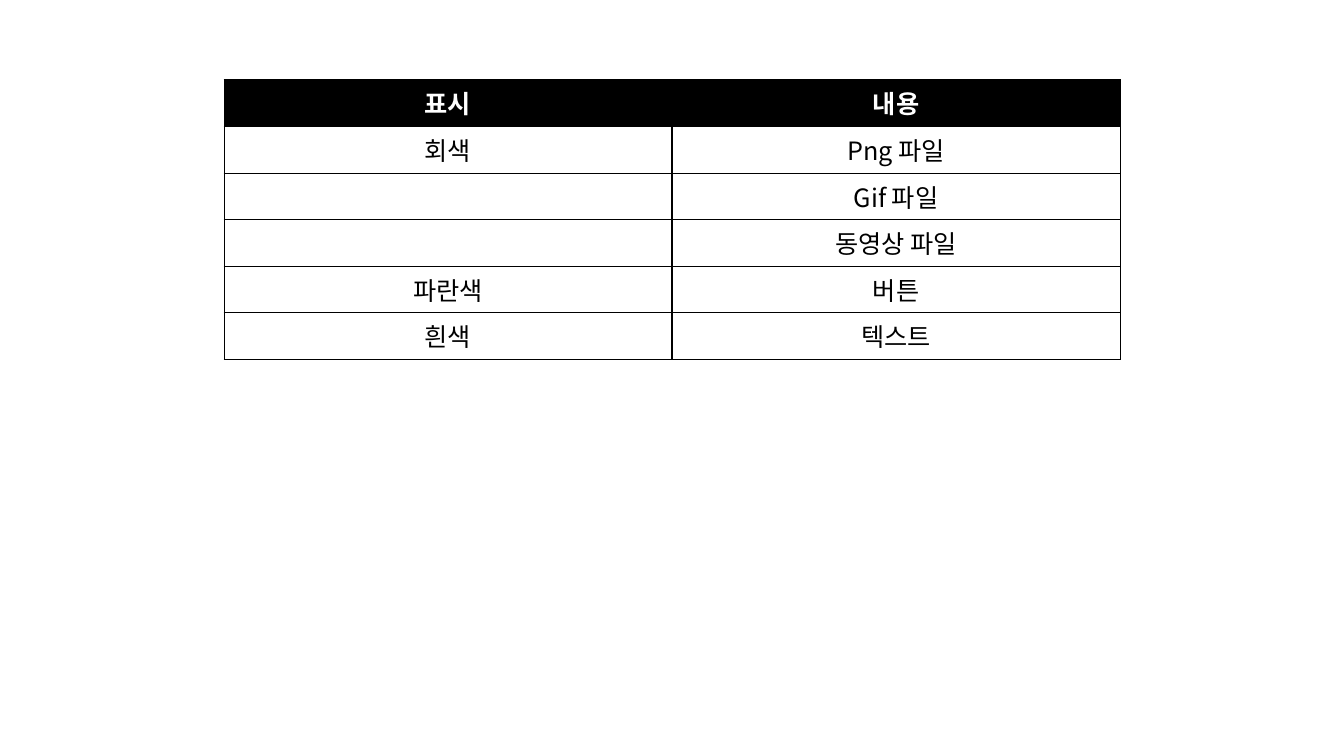
from dataclasses import dataclass

from lxml.etree import SubElement
from pptx import Presentation
from pptx.dml.color import RGBColor
from pptx.enum.text import MSO_ANCHOR, PP_ALIGN
from pptx.oxml.ns import qn
from pptx.util import Inches, Pt


@dataclass(frozen=True)
class Theme:
    font: str = "Noto Sans CJK KR"
    text_size: int = 18
    ink: str = "000000"
    paper: str = "FFFFFF"
    thin: float = 0.5
    thick: float = 1


THEME = Theme()
LEGEND = [
    ("표시", "내용"),
    ("회색", "Png 파일"),
    ("", "Gif 파일"),
    ("", "동영상 파일"),
    ("파란색", "버튼"),
    ("흰색", "텍스트"),
]


def write_cell(cell, text, is_header):
    text_color, fill_color = (THEME.paper, THEME.ink) if is_header else (THEME.ink, THEME.paper)
    cell.fill.solid()
    cell.fill.fore_color.rgb = RGBColor.from_string(fill_color)
    cell.vertical_anchor = MSO_ANCHOR.MIDDLE
    para = cell.text_frame.paragraphs[0]
    para.alignment = PP_ALIGN.CENTER
    if not text:
        return
    span = para.add_run()
    span.text = text
    font_format = {"name": THEME.font, "size": Pt(THEME.text_size), "bold": is_header}
    for name, value in font_format.items():
        setattr(span.font, name, value)
    span.font.color.rgb = RGBColor.from_string(text_color)
    SubElement(span.font._element, qn("a:ea"), typeface=THEME.font)


def draw_borders(cell, widths):
    """Draw the cell's sides; widths maps L, R, T and B, in that order, to points."""
    properties = cell._tc.get_or_add_tcPr()
    for position, (side, width) in enumerate(widths.items()):
        line = SubElement(properties, qn(f"a:ln{side}"), w=str(Pt(width)))
        fill = SubElement(line, qn("a:solidFill"))
        SubElement(fill, qn("a:srgbClr"), val=THEME.ink)
        properties.insert(position, line)  # lines must precede the cell fill


def add_legend_table(page, rows, left, top, width, row_height):
    row_count, column_count = len(rows), len(rows[0])
    frame = page.shapes.add_table(row_count, column_count, left, top, width, row_height * row_count)
    table = frame.table
    table.horz_banding = False
    for row_index, row in enumerate(rows):
        for column_index, text in enumerate(row):
            cell = table.cell(row_index, column_index)
            write_cell(cell, text, is_header=row_index == 0)
            draw_borders(cell, {
                "L": THEME.thick if column_index > 0 else THEME.thin,
                "R": THEME.thick if column_index < column_count - 1 else THEME.thin,
                "T": THEME.thick if row_index == 1 else THEME.thin,
                "B": THEME.thick if row_index == 0 else THEME.thin,
            })


def main():
    deck = Presentation()
    deck.slide_width, deck.slide_height = Inches(13.33), Inches(7.5)
    page = deck.slides.add_slide(deck.slide_layouts[6])
    add_legend_table(page, LEGEND, Inches(2.22), Inches(0.79), Inches(8.89), Inches(0.46))
    deck.save("out.pptx")


if __name__ == "__main__":
    main()
